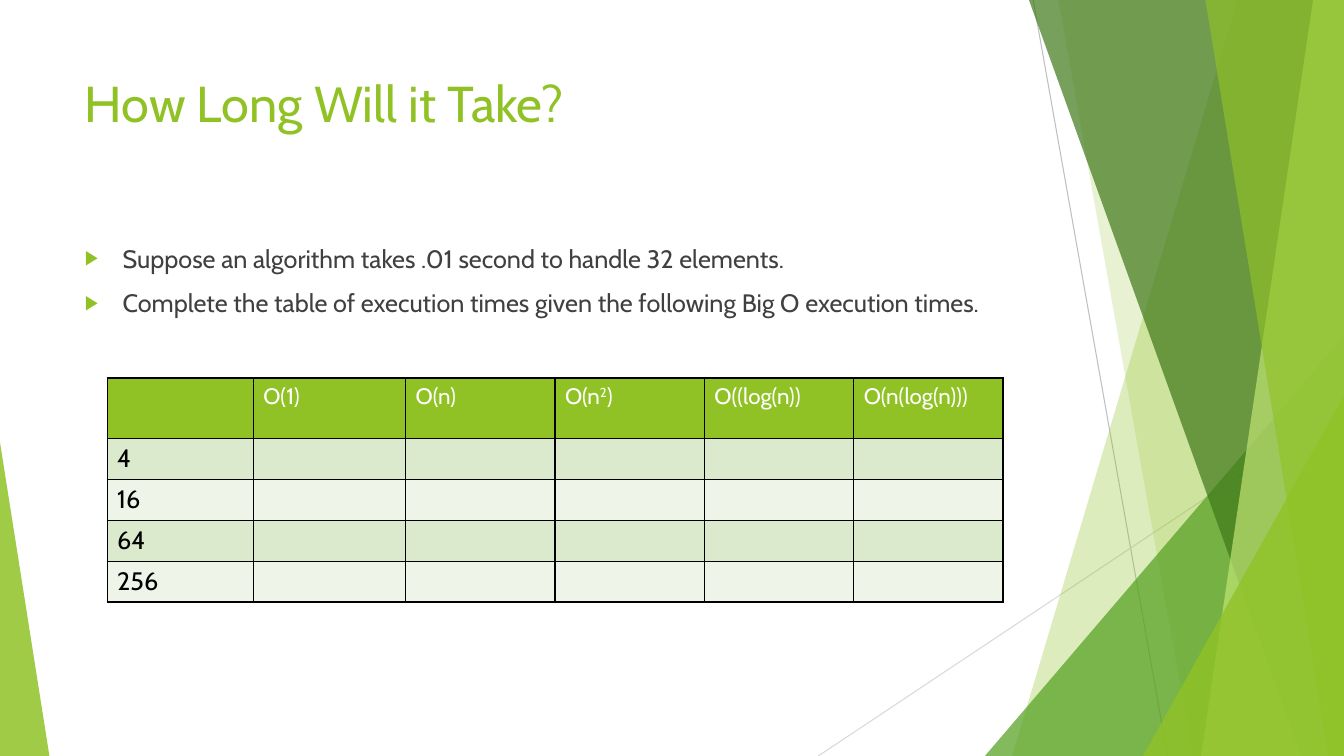
import pptx
import pptx.dml.color
import pptx.enum.shapes
import pptx.enum.text
import pptx.oxml
import pptx.oxml.ns
import pptx.util
from lxml import etree

Pt = pptx.util.Pt
qn = pptx.oxml.ns.qn
FONT = "Cabin"
WIDTH, HEIGHT = 960, 540
COLOURS = {
    "lime": "90C226", "leaf": "54A021", "forest": "3F7819", "pale": "C0E474",
    "silver": "BFBFBF", "mist": "D9D9D9", "text": "404040", "black": "000000",
    "white": "FFFFFF", "band": "DBE9CD", "light band": "EEF4E8",
}
# top x, bottom x, colour, opacity in percent; each facet reaches the right edge
BACK_FACETS = [(884, 723, "lime", 30), (756, 852, "lime", 20)]
FRONT_FACETS = [(735, 929.5, "forest", 70), (938, 858, "pale", 70), (861, 949, "lime", 65)]
BULLETS = [
    "Suppose an algorithm takes .01 second to handle 32 elements.",
    "Complete the table of execution times given the following Big O execution times.",
]
# each heading is a list of (text, is superscript)
HEADINGS = [
    [], [("O(1)", False)], [("O(n)", False)],
    [("O(n", False), ("2", True), (")", False)],
    [("O((log(n))", False)], [("O(n(log(n)))", False)],
]
SIZES = ["4", "16", "64", "256"]
COLUMN_WIDTHS = [104.4, 108.8] + [106.7] * 4
HEADER_HEIGHT, ROW_HEIGHT = 43.2, 29.2


def colour(name):
    return pptx.dml.color.RGBColor.from_string(COLOURS[name])


def paint(shape, fill, opacity):
    shape.shadow.inherit = False
    shape.fill.solid()
    shape.fill.fore_color.rgb = colour(fill)
    shape.line.fill.background()
    tint = shape._element.spPr.find(qn("a:solidFill")).find(qn("a:srgbClr"))
    etree.SubElement(tint, qn("a:alpha")).set("val", str(opacity * 1000))


def add_facet(page, top_x, bottom_x, fill, opacity):
    builder = page.shapes.build_freeform(Pt(top_x), 0)
    corners = [(WIDTH, 0), (WIDTH, HEIGHT), (bottom_x, HEIGHT)]
    builder.add_line_segments([(Pt(x), Pt(y)) for x, y in corners], close=True)
    paint(builder.convert_to_shape(), fill, opacity)


def add_corner(page, left, top, width, apex, fill, opacity):
    """Add a triangle that stands on the bottom edge, apex 0 at left to 1 at right."""
    kind = pptx.enum.shapes.MSO_SHAPE.ISOSCELES_TRIANGLE
    shape = page.shapes.add_shape(kind, Pt(left), Pt(top), Pt(width), Pt(HEIGHT - top))
    shape.adjustments[0] = apex
    paint(shape, fill, opacity)


def add_line(page, x1, y1, x2, y2, stroke):
    kind = pptx.enum.shapes.MSO_CONNECTOR.STRAIGHT
    line = page.shapes.add_connector(kind, Pt(x1), Pt(y1), Pt(x2), Pt(y2))
    line.line.color.rgb = colour(stroke)
    line.line.width = Pt(0.75)
    etree.SubElement(line._element.spPr, qn("a:effectLst"))


def add_span(para, text, size, ink, superscript=False):
    span = para.add_run()
    span.text = text
    span.font.name = FONT
    span.font.size = Pt(size)
    span.font.color.rgb = colour(ink)
    if superscript:
        span._r.get_or_add_rPr().set("baseline", "30000")


def add_bullet(para):
    properties = para._p.get_or_add_pPr()
    properties.set("marL", str(Pt(27)))
    properties.set("indent", str(-Pt(27)))
    tint = etree.SubElement(properties, qn("a:buClr"))
    etree.SubElement(tint, qn("a:srgbClr")).set("val", COLOURS["lime"])
    etree.SubElement(properties, qn("a:buSzPct")).set("val", "80000")
    etree.SubElement(properties, qn("a:buFont")).set("typeface", "Arial")
    etree.SubElement(properties, qn("a:buChar")).set("char", "▶")


def add_text(page, top, height, lines, size, ink, bulleted=False):
    box = page.shapes.add_textbox(Pt(53.5), Pt(top), Pt(677), Pt(height))
    frame = box.text_frame
    frame.word_wrap = True
    frame.vertical_anchor = pptx.enum.text.MSO_ANCHOR.TOP
    for index, line in enumerate(lines):
        para = frame.add_paragraph() if index else frame.paragraphs[0]
        if index:
            para.space_before = Pt(10)
        if bulleted:
            add_bullet(para)
        add_span(para, line, size, ink)


def style_cell(cell, fill):
    properties = cell._tc.get_or_add_tcPr()
    for side in ("a:lnL", "a:lnR", "a:lnT", "a:lnB"):
        border = etree.SubElement(properties, qn(side))
        border.set("w", str(Pt(1)))
        solid = etree.SubElement(border, qn("a:solidFill"))
        etree.SubElement(solid, qn("a:srgbClr")).set("val", COLOURS["black"])
    cell.fill.solid()
    cell.fill.fore_color.rgb = colour(fill)


def add_times_table(page):
    row_heights = [HEADER_HEIGHT] + [ROW_HEIGHT] * len(SIZES)
    table = page.shapes.add_table(
        len(row_heights), len(COLUMN_WIDTHS), Pt(76.5), Pt(270),
        Pt(sum(COLUMN_WIDTHS)), Pt(sum(row_heights))).table
    table.first_row = table.horz_banding = False
    for column, width in zip(table.columns, COLUMN_WIDTHS):
        column.width = Pt(width)
    for index, (row, height) in enumerate(zip(table.rows, row_heights)):
        row.height = Pt(height)
        band = "band" if index % 2 else "light band"
        for cell in row.cells:
            style_cell(cell, band if index else "lime")
    for column, heading in enumerate(HEADINGS):
        para = table.cell(0, column).text_frame.paragraphs[0]
        for text, superscript in heading:
            add_span(para, text, 16, "white", superscript)
    for row, size in enumerate(SIZES, start=1):
        add_span(table.cell(row, 0).text_frame.paragraphs[0], size, 18, "black")


def add_backdrop(page):
    add_line(page, 738, 0, 834, HEIGHT, "silver")
    add_line(page, WIDTH, 290, 584.5, HEIGHT, "mist")
    for facet in BACK_FACETS:
        add_facet(page, *facet)
    add_corner(page, 703.5, 240, 256.5, 1, "leaf", 72)
    for facet in FRONT_FACETS:
        add_facet(page, *facet)
    add_corner(page, 816.5, 283, 143.5, 1, "lime", 80)
    add_corner(page, 0, 316, 35.3, 0, "lime", 85)


def main():
    deck = pptx.Presentation()
    deck.slide_width, deck.slide_height = Pt(WIDTH), Pt(HEIGHT)
    page = deck.slides.add_slide(deck.slide_layouts[6])
    add_backdrop(page)
    add_text(page, 48, 104, ["How Long Will it Take?"], 36, "lime")
    add_text(page, 170, 305, BULLETS, 18, "text", bulleted=True)
    add_times_table(page)
    deck.save("out.pptx")


if __name__ == "__main__":
    main()
